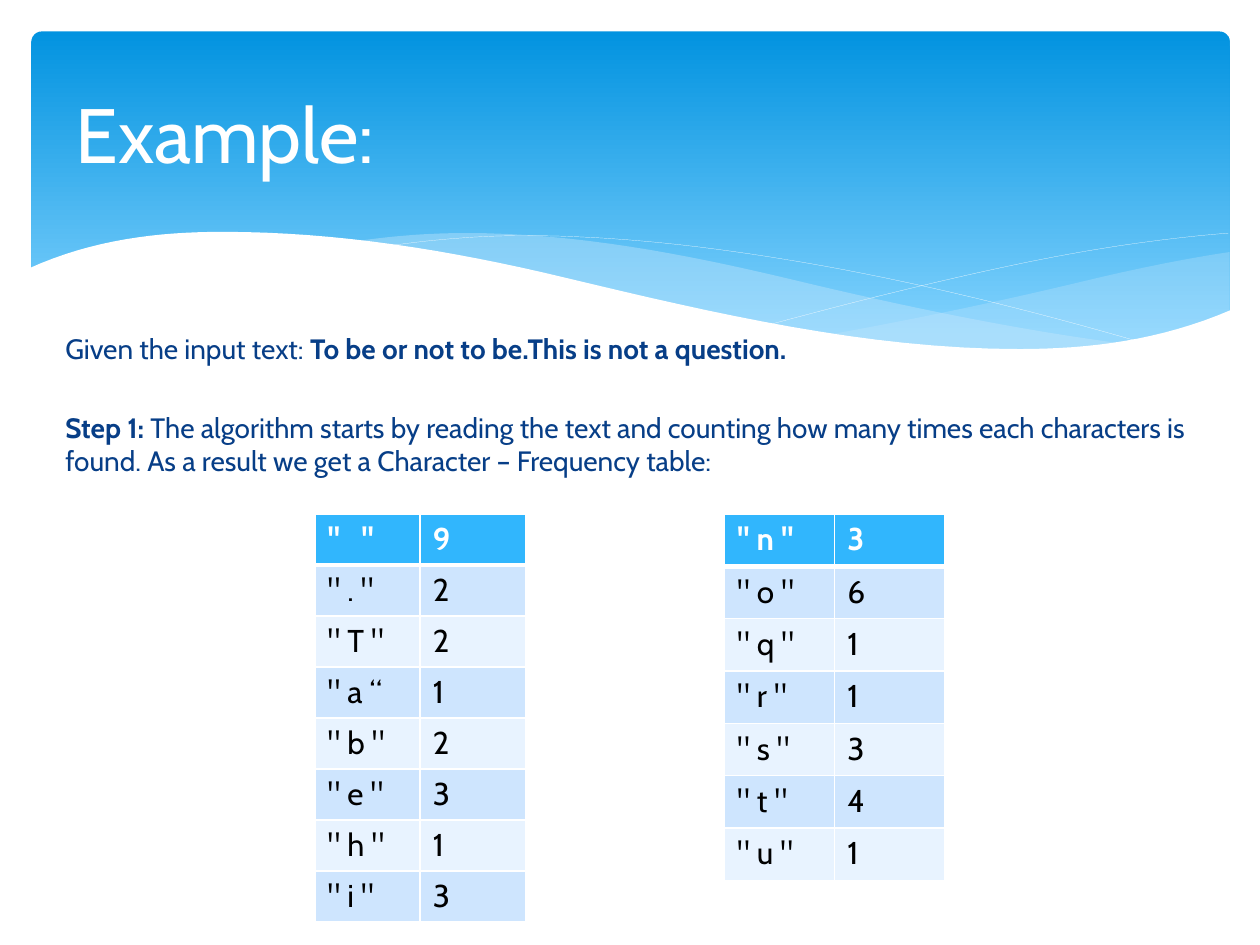
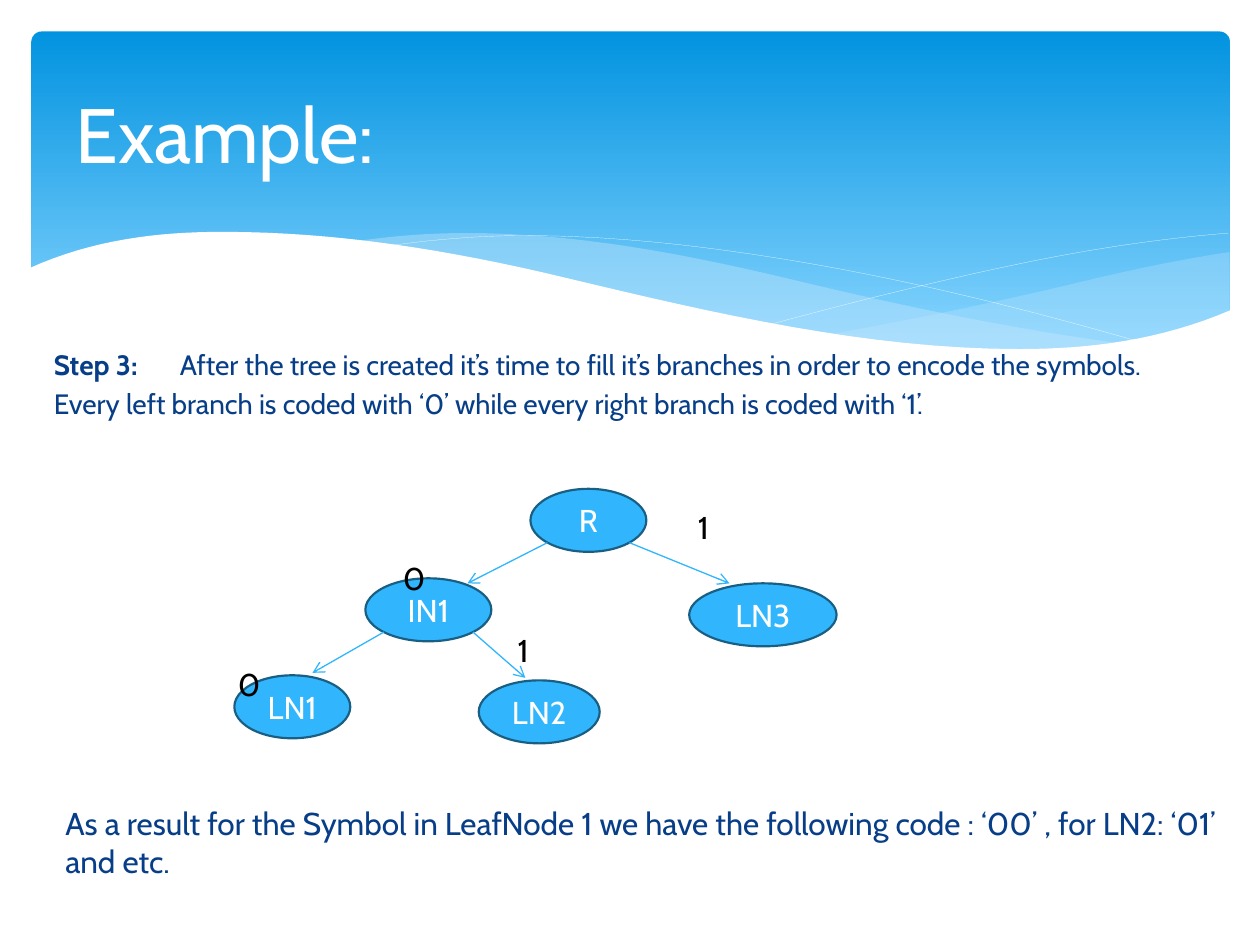
from itertools import pairwise
from math import sqrt

from lxml import etree
from pptx import Presentation
from pptx.dml.color import RGBColor
from pptx.enum.shapes import MSO_CONNECTOR, MSO_SHAPE
from pptx.enum.text import MSO_ANCHOR as ANCHOR, PP_ALIGN as ALIGN
from pptx.oxml.ns import qn
from pptx.util import Inches, Pt

COLORS = {
    "white": "FFFFFF",
    "black": "000000",
    "navy": "073E87",
    "sky": "31B6FD",
    "rim": "195F84",
    "band_top": "0293E0",
    "band_bottom": "83D3FE",
    "mist": "C6E7FC",
    "row_dark": "CEE5FE",
    "row_light": "E8F3FF",
}
RGB = {name: RGBColor.from_string(code) for name, code in COLORS.items()}

TITLE = {"size": Pt(44), "color": "white"}
BODY = {"size": Pt(16), "color": "navy"}
BODY_BOLD = {**BODY, "bold": True}
HEADER = {"size": Pt(18), "color": "white", "bold": True}
CELL = {"size": Pt(18), "color": "black", "bold": False}
NODE = {"size": Pt(18), "color": "white"}
BRANCH = {"size": Pt(18), "color": "black"}
RESULT = {"size": Pt(18), "color": "navy"}


def write(paragraph, text, style):
    run = paragraph.add_run()
    run.text = text
    run.font.name = "Cabin"
    for attribute, value in style.items():
        if attribute == "color":
            run.font.color.rgb = RGB[value]
        else:
            setattr(run.font, attribute, value)


def smooth_curve(knots, steps=16):
    """Return points on the cubic curve through knots given as (x, y, slope)."""
    points = [(Inches(knots[0][0]), Inches(knots[0][1]))]
    for (x0, y0, slope0), (x1, y1, slope1) in pairwise(knots):
        span = x1 - x0
        for step in range(1, steps + 1):
            t = step / steps
            blend = t * t * (3 - 2 * t)
            bend = span * t * (1 - t) * (slope0 * (1 - t) - slope1 * t)
            points.append((Inches(x0 + span * t), Inches(y0 + (y1 - y0) * blend + bend)))
    return points


deck = Presentation()
deck.slide_width, deck.slide_height = Inches(10), Inches(7.5)
layout = deck.slide_layouts[5]
for placeholder in list(layout.placeholders):
    if placeholder.placeholder_format.idx != 0:
        layout.shapes.element.remove(placeholder.element)

frequency_slide, tree_slide = (deck.slides.add_slide(layout) for _ in range(2))
for slide in (frequency_slide, tree_slide):
    title = slide.shapes.title
    title.left, title.top = Inches(0.5), Inches(0.37)
    title.width, title.height = Inches(9), Inches(1.37)
    title.text_frame.vertical_anchor = ANCHOR.MIDDLE
    heading = title.text_frame.paragraphs[0]
    heading.alignment = ALIGN.LEFT
    write(heading, "Example:", TITLE)

# Backdrop: drawn once, then moved into the layout that both slides share
band = frequency_slide.shapes.add_shape(
    MSO_SHAPE.ROUNDED_RECTANGLE, Inches(0.25), Inches(0.25), Inches(9.51), Inches(2.7))
band.adjustments[0] = 0.03
band.line.fill.background()
band.fill.gradient()
band.fill.gradient_angle = 270
for stop, (color, position) in zip(
        band.fill.gradient_stops, [("band_top", 0), ("band_bottom", 0.9)]):
    stop.color.rgb = RGB[color]
    stop.position = position
backdrop = [band]

# Filled areas lie between an upper and a lower edge
right_veil = ([(6.61, 2.65, -0.18), (8.61, 2.23, -0.24), (9.76, 2, -0.15)],
              [(6.61, 2.65, 0.13), (8.1, 2.78, 0), (9.76, 2.47, -0.41)])
centre_veil = ([(2.86, 1.91, -0.14), (3.7, 1.85, 0), (6.29, 2.22, 0.24), (8.93, 2.73, 0.13)],
               [(2.86, 1.91, 0.12), (4.49, 2.22, 0.24), (8.1, 2.78, 0), (8.93, 2.73, -0.11)])
white_wave = ([(0.23, 2.13, -0.45), (1.77, 1.84, 0), (4.47, 2.2, 0.24), (8.09, 2.77, 0),
               (9.77, 2.46, -0.43)],
              [(0.23, 3.29, 0), (9.77, 3.29, 0)])
falling_line = [(3.09, 1.95, -0.14), (4.16, 1.87, 0), (6.36, 2.08, 0.17), (9.07, 2.72, 0.29)]
rising_line = [(6.13, 2.57, -0.27), (8.06, 2.1, -0.21), (9.75, 1.85, -0.08)]

for edges, color, opacity in [
    (right_veil, "mist", 29),
    (centre_veil, "mist", 40),
    ([falling_line], None, None),
    ([rising_line], None, None),
    (white_wave, "white", 100),
]:
    outline = smooth_curve(edges[0])
    for lower_edge in edges[1:]:
        outline += reversed(smooth_curve(lower_edge))
    builder = frequency_slide.shapes.build_freeform(*outline[0])
    builder.add_line_segments(outline[1:], close=color is not None)
    curve = builder.convert_to_shape()
    if color:
        curve.fill.solid()
        curve.fill.fore_color.rgb = RGB[color]
        curve.line.fill.background()
        tint = curve.element.spPr.find(qn("a:solidFill")).find(qn("a:srgbClr"))
        etree.SubElement(tint, qn("a:alpha"), val=str(opacity * 1000))
    else:
        curve.fill.background()
        curve.line.color.rgb = RGB["white"]
        curve.line.width = Pt(0.1)
    backdrop.append(curve)

for depth, part in enumerate(backdrop, start=2):
    part.shadow.inherit = False
    layout.shapes.element.insert(depth, part.element)

# Text of both slides: box, top inset, then paragraphs as (space before, runs)
for slide, (left, top, width, height), inset, paragraphs in [
    (frequency_slide, (0.42, 2.58, 9.33, 3.77), 0.05, [
        (0, [("Given the input text: ", BODY),
             ("To be or not to be.This is not a question.", BODY_BOLD)]),
        (26, [("Step 1:", BODY_BOLD),
              (" The algorithm starts by reading the text and counting how many times each "
               "characters is found. As a result we get a Character – Frequency table:", BODY)]),
    ]),
    (tree_slide, (0.33, 2.08, 9.5, 4.62), 0.68, [
        (0, [("Step 3:", BODY_BOLD),
             ("\tAfter the tree is created it’s time to fill it’s branches in order to "
              "encode the symbols.", BODY)]),
        (3.2, [("Every left branch is coded with ‘0’ while every right branch is coded "
                "with ‘1’.", BODY)]),
    ]),
    (tree_slide, (0.42, 6.33, 9.33, 0.71), 0.05, [
        (0, [("As a result for the Symbol in LeafNode 1 we have the following code : "
              "‘00’ , for LN2: ‘01’ and etc.", RESULT)]),
    ]),
]:
    frame = slide.shapes.add_textbox(
        Inches(left), Inches(top), Inches(width), Inches(height)).text_frame
    frame.word_wrap = True
    frame.margin_top = Inches(inset)
    for number, (space_before, runs) in enumerate(paragraphs):
        paragraph = frame.add_paragraph() if number else frame.paragraphs[0]
        paragraph.space_before = Pt(space_before)
        for text, style in runs:
            write(paragraph, text, style)

# Slide 1: character frequencies
first_half = [('"   "', 9), ('" . "', 2), ('" T "', 2), ('" a “', 1),
              ('" b "', 2), ('" e "', 3), ('" h "', 1), ('" i "', 3)]
second_half = [('" n "', 3), ('" o "', 6), ('" q "', 1), ('" r "', 1),
               ('" s "', 3), ('" t "', 4), ('" u "', 1)]
for counts, left, width, height in [
    (first_half, 2.5, 1.67, 3.24),
    (second_half, 5.75, 1.75, 2.91),
]:
    table = frequency_slide.shapes.add_table(
        len(counts), 2, Inches(left), Inches(4.08), Inches(width), Inches(height)).table
    for row, entry in enumerate(counts):
        shade = "sky" if row == 0 else "row_dark" if row % 2 else "row_light"
        for column, value in enumerate(entry):
            cell = table.cell(row, column)
            cell.fill.solid()
            cell.fill.fore_color.rgb = RGB[shade]
            write(cell.text_frame.paragraphs[0], str(value), CELL if row else HEADER)
            if row == 0:
                rule = etree.Element(qn("a:lnB"), w=str(Pt(3)))
                paint = etree.SubElement(rule, qn("a:solidFill"))
                etree.SubElement(paint, qn("a:srgbClr"), val=COLORS["white"])
                cell.fill.fore_color  # the border must precede the fill
                table.cell(row, column)._tc.tcPr.insert(0, rule)

# Slide 2: coded tree, each node as left, top, width
NODE_HEIGHT = 0.5
nodes = {
    "R": (4.21, 3.88, 0.92),
    "IN1": (2.9, 4.59, 1),
    "LN3": (5.47, 4.63, 1.17),
    "LN1": (1.86, 5.36, 0.92),
    "LN2": (3.8, 5.4, 0.96),
}
for name, (left, top, width) in nodes.items():
    node = tree_slide.shapes.add_shape(
        MSO_SHAPE.OVAL, Inches(left), Inches(top), Inches(width), Inches(NODE_HEIGHT))
    node.shadow.inherit = False
    node.fill.solid()
    node.fill.fore_color.rgb = RGB["sky"]
    node.line.color.rgb = RGB["rim"]
    node.line.width = Pt(1.25)
    node.text_frame.vertical_anchor = ANCHOR.MIDDLE
    label = node.text_frame.paragraphs[0]
    label.alignment = ALIGN.CENTER
    write(label, name, NODE)

# Branches leave the parent's ellipse at 45 degrees; bit 0 goes left, bit 1 goes right
for parent, bit, tip, (bit_left, bit_top) in [
    ("R", 0, (3.71, 4.63), (3.1, 4.39)),
    ("IN1", 0, (2.48, 5.34), (1.79, 5.23)),
    ("IN1", 1, (4.17, 5.38), (4.01, 4.96)),
    ("R", 1, (5.79, 4.63), (5.44, 3.98)),
]:
    left, top, width = nodes[parent]
    side = 1 if bit else -1
    start = (left + width / 2 * (1 + side / sqrt(2)), top + NODE_HEIGHT / 2 * (1 + 1 / sqrt(2)))
    branch = tree_slide.shapes.add_connector(
        MSO_CONNECTOR.STRAIGHT, *(Inches(value) for value in start + tip))
    branch.line.color.rgb = RGB["sky"]
    branch.line.width = Pt(0.75)
    properties = branch.element.spPr
    etree.SubElement(properties.find(qn("a:ln")), qn("a:tailEnd"), type="arrow")
    etree.SubElement(properties, qn("a:effectLst"))
    code = tree_slide.shapes.add_textbox(
        Inches(bit_left), Inches(bit_top), Inches(0.5), Inches(0.4))
    write(code.text_frame.paragraphs[0], str(bit), BRANCH)

deck.save("out.pptx")
